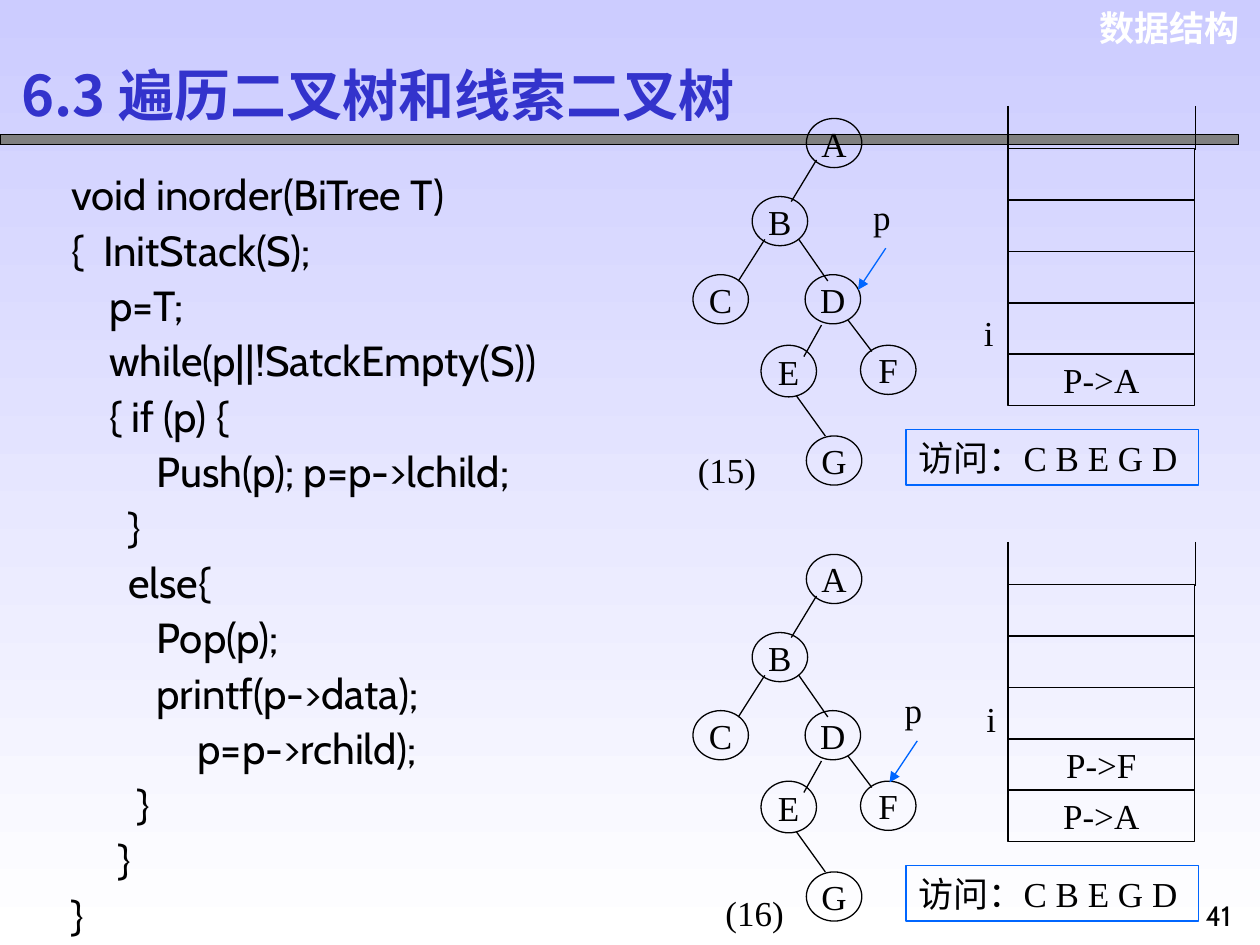
"""Build a slide tracing inorder traversal of a binary tree with a stack."""
import pptx
import pptx.dml.color
import pptx.enum.shapes
import pptx.enum.text
import pptx.oxml
import pptx.oxml.ns
import pptx.util
from pptx.util import Inches

RGBColor = pptx.dml.color.RGBColor
BLACK = RGBColor(0x00, 0x00, 0x00)
WHITE = RGBColor(0xFF, 0xFF, 0xFF)
GRAY = RGBColor(0x80, 0x80, 0x80)
LAVENDER = RGBColor(0xCC, 0xCC, 0xFF)
INDIGO = RGBColor(0x33, 0x33, 0xCC)
BLUE = RGBColor(0x00, 0x66, 0xFF)

SHAPE = pptx.enum.shapes.MSO_SHAPE
ALIGN = pptx.enum.text.PP_ALIGN
ANCHOR = pptx.enum.text.MSO_ANCHOR
SERIF = "Times New Roman"
CJK = "Noto Sans CJK SC"
NAMESPACE = pptx.oxml.ns.nsdecls("a")


def add_item(shapes, preset, place, text="", size=20, font=SERIF, color=BLACK,
             align=ALIGN.CENTER, anchor=ANCHOR.MIDDLE, bold=False, wrap=False,
             line=BLACK):
    place = [Inches(value) for value in place]
    if preset is None:
        box = shapes.add_textbox(*place)
    else:
        box = shapes.add_shape(preset, *place)
        box.shadow.inherit = False
        box.fill.background()
        box.line.color.rgb = line
        box.line.width = pptx.util.Pt(0.75)
    if text:
        frame = box.text_frame
        frame.word_wrap = wrap
        frame.vertical_anchor = anchor
        frame.text = text
        for para in frame.paragraphs:
            para.alignment = align
            for span in para.runs:
                span.font.size = pptx.util.Pt(size)
                span.font.name = font
                span.font.bold = bold
                span.font.color.rgb = color
                east = pptx.oxml.parse_xml(f'<a:ea {NAMESPACE} typeface="{CJK}"/>')
                span.font._element.find(pptx.oxml.ns.qn("a:latin")).addnext(east)
    return box


def add_line(shapes, x1, y1, x2, y2, color=BLACK, arrow=False):
    line = shapes.add_connector(pptx.enum.shapes.MSO_CONNECTOR.STRAIGHT,
                                Inches(x1), Inches(y1), Inches(x2), Inches(y2))
    line.line.color.rgb = color
    line.line.width = pptx.util.Pt(0.75)
    properties = line._element.spPr
    if arrow:
        properties.get_or_add_ln().append(
            pptx.oxml.parse_xml(f'<a:tailEnd {NAMESPACE} type="triangle"/>'))
    properties.append(pptx.oxml.parse_xml(f"<a:effectLst {NAMESPACE}/>"))


deck = pptx.Presentation()
deck.slide_width, deck.slide_height = Inches(10), Inches(7.5)
page = deck.slides.add_slide(deck.slide_layouts[6])

backdrop = page.background.fill
backdrop.gradient()
backdrop.gradient_angle = 270
for stop, color in zip(backdrop.gradient_stops, (LAVENDER, WHITE)):
    stop.color.rgb = color

add_item(page.shapes, None, (8.57, 0, 1.37, 0.44), "数据结构", font="Arial",
         color=WHITE, align=ALIGN.RIGHT, anchor=ANCHOR.TOP, bold=True, wrap=True)
bar = add_item(page.shapes, SHAPE.RECTANGLE, (0, 1.07, 9.83, 0.08))
bar.fill.solid()
bar.fill.fore_color.rgb = GRAY

NODES = {"A": (6.4, 0.94), "B": (5.97, 1.56), "C": (5.5, 2.18), "D": (6.39, 2.18),
         "E": (6.04, 2.74), "F": (6.83, 2.74), "G": (6.4, 3.46)}
EDGES = [(6.48, 1.27, 6.28, 1.6), (6.07, 1.9, 5.86, 2.23), (6.34, 1.9, 6.57, 2.23),
         (6.52, 2.58, 6.38, 2.83), (6.73, 2.54, 6.92, 2.79), (6.32, 3.14, 6.55, 3.46)]
STEPS = [
    {"top": 0, "stack": ["P->A"], "index": (7.71, 2.42), "pointer": (6.83, 1.5),
     "label": "(15)", "label_at": (5.37, 3.51)},
    {"top": 3.46, "stack": ["P->A", "P->F"], "index": (7.73, 5.48),
     "pointer": (7.08, 5.41), "label": "(16)", "label_at": (5.59, 7.02)},
]
SLOTS = 5
SLOT_HEIGHT = 0.41
SLOT_PITCH = (2.81 - 1.18) / (SLOTS - 1)

for step in STEPS:
    shapes = page.shapes.add_group_shape().shapes
    top = step["top"]
    for name, (x, y) in NODES.items():
        height = 0.41 if name == "E" else 0.39
        add_item(shapes, SHAPE.OVAL, (x, y + top, 0.44, height), name)
    for x1, y1, x2, y2 in EDGES:
        add_line(shapes, x1, y1 + top, x2, y2 + top)

    add_item(shapes, None, (*step["index"], 0.27, 0.44), "i")
    for slot in range(SLOTS):
        text = step["stack"][slot] if slot < len(step["stack"]) else ""
        add_item(shapes, SHAPE.RECTANGLE,
                 (8, 2.81 + top - slot * SLOT_PITCH, 1.48, SLOT_HEIGHT), text)
    for x in (8, 9.49):
        add_line(shapes, x, 0.84 + top, x, 1.19 + top)

    add_item(shapes, SHAPE.RECTANGLE, (7.19, 3.41 + top, 2.32, 0.44),
             "访问：C B E G D", align=ALIGN.LEFT, line=BLUE)
    x, y = step["pointer"]
    add_item(shapes, None, (x, y, 0.34, 0.44), "p")
    add_line(shapes, x + 0.2, y + 0.47, x - 0.02, y + 0.8, BLUE, arrow=True)
    add_item(shapes, None, (*step["label_at"], 0.8, 0.44), step["label"])

add_item(page.shapes, None, (9.42, 7.08, 0.5, 0.42), "41", size=16, font="Cabin",
         anchor=ANCHOR.TOP, wrap=True)

CODE = """void inorder(BiTree T)
{  InitStack(S);
    p=T;
    while(p||!SatckEmpty(S))
    { if (p) {
         Push(p); p=p->lchild;
      }
      else{
         Pop(p);
         printf(p->data);
\tp=p->rchild);
       }
     }
}"""
listing = add_item(page.shapes, None, (0.47, 1.25, 4.41, 6.7), CODE, size=24,
                   font="Cabin", align=ALIGN.LEFT, anchor=ANCHOR.TOP, wrap=True)
for para in listing.text_frame.paragraphs:
    para.line_spacing = 1.1
    para._p.get_or_add_pPr().append(pptx.oxml.parse_xml(
        f'<a:tabLst {NAMESPACE}><a:tab pos="{Inches(1)}" algn="l"/></a:tabLst>'))

add_item(page.shapes, None, (0.07, 0.46, 6.75, 0.57), "6.3 遍历二叉树和线索二叉树",
         size=32, font=CJK, color=INDIGO, align=ALIGN.LEFT, bold=True, wrap=True)

deck.save("out.pptx")
